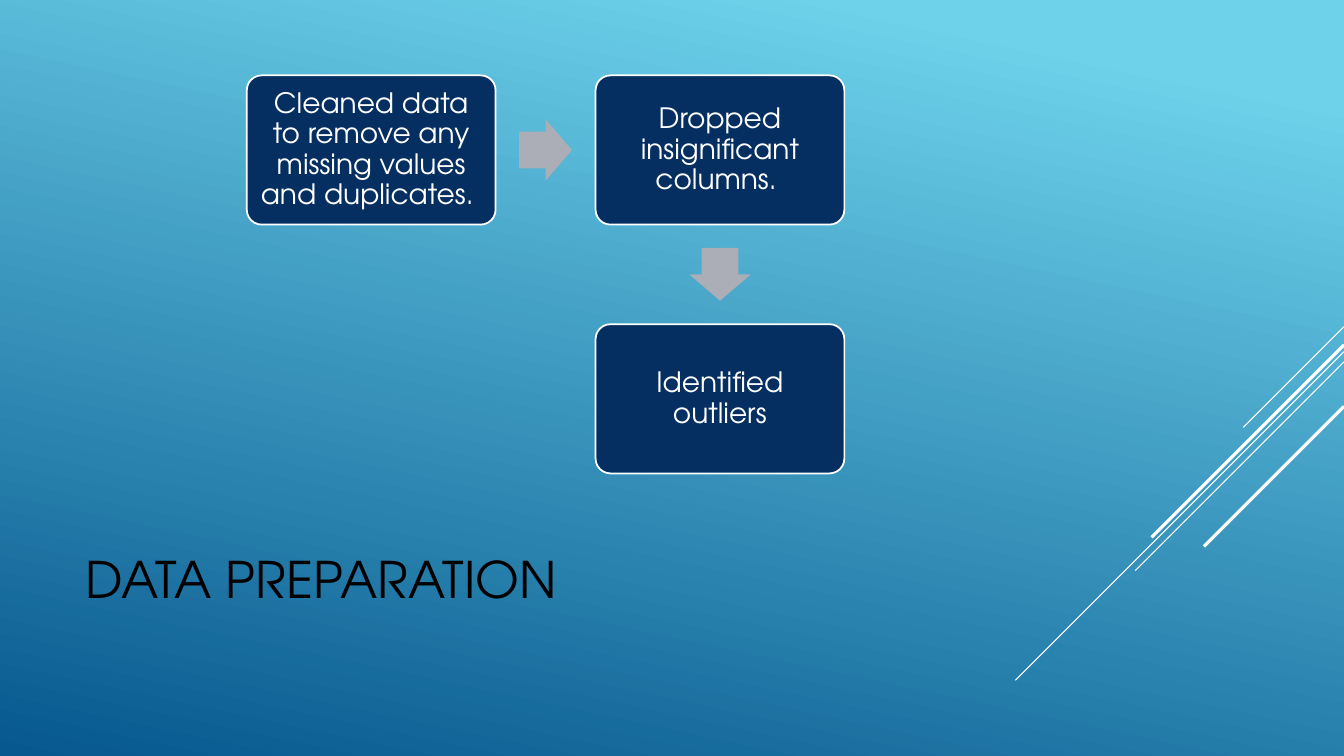
from lxml import etree
from pptx import Presentation
from pptx.dml import color
from pptx.enum import shapes, text
from pptx.oxml import ns
from pptx.util import Cm, Pt

FONT = "TeX Gyre Adventor"
SLIDE_W, SLIDE_H = 33.87, 19.05
BOX_W, BOX_H = 6.27, 3.76
BOX_LEFT, BOX_TOP = 6.22, 1.9
STEP_X, STEP_Y = 8.79, 6.27
ARROW_W, ARROW_H = 1.33, 1.55

STEPS = [
    (0, 0, "Cleaned data to remove any missing values and duplicates. "),
    (1, 0, "Dropped insignificant columns. "),
    (1, 1, "Identified outliers"),
]
RAYS = [
    (8.23, 2.54, 0.75),
    (8.86, 8.28, 0.75),
    (9.12, 5.26, 0.75),
    (8.69, 4.85, 2.25),
    (10.24, 3.53, 2.25),
]


def rgb(value):
    return color.RGBColor.from_string(value)


def set_background(s, stops, angle):
    fill = s.background.fill
    fill.gradient()
    fill.gradient_angle = 360 - angle
    for stop, (position, value) in zip(fill.gradient_stops, stops):
        stop.position = position
        stop.color.rgb = rgb(value)


def write(tf, content, size=20, ink="FFFFFF", align=text.PP_ALIGN.CENTER,
          spacing=0.9, inset=0.2):
    tf.word_wrap = True
    tf.vertical_anchor = text.MSO_ANCHOR.MIDDLE
    tf.margin_left = tf.margin_right = Cm(inset)
    tf.margin_top = tf.margin_bottom = Cm(0.2)
    p = tf.paragraphs[0]
    p.alignment = align
    p.line_spacing = spacing
    r = p.add_run()
    r.text = content
    r.font.name = FONT
    r.font.size = Pt(size)
    r.font.color.rgb = rgb(ink)


def add_ray(s, top, reach, width):
    line = s.shapes.add_connector(
        shapes.MSO_CONNECTOR.STRAIGHT, Cm(SLIDE_W), Cm(top),
        Cm(SLIDE_W - reach), Cm(top + reach))
    line.line.color.rgb = rgb("FFFFFF")
    line.line.width = Pt(width)
    etree.SubElement(line._element.spPr, ns.qn("a:effectLst"))


def add_filled(s, kind, left, top, width, height, fill, adjustments):
    sp = s.shapes.add_shape(kind, Cm(left), Cm(top), Cm(width), Cm(height))
    sp.shadow.inherit = False
    sp.fill.solid()
    sp.fill.fore_color.rgb = rgb(fill)
    sp.line.fill.background()
    for i, value in enumerate(adjustments):
        sp.adjustments[i] = value
    return sp


def box_center(col, row):
    return (BOX_LEFT + col * STEP_X + BOX_W / 2,
            BOX_TOP + row * STEP_Y + BOX_H / 2)


def add_step(s, col, row, content):
    x, y = box_center(col, row)
    sp = add_filled(s, shapes.MSO_SHAPE.ROUNDED_RECTANGLE, x - BOX_W / 2,
                    y - BOX_H / 2, BOX_W, BOX_H, "052F61", [0.1])
    sp.line.color.rgb = rgb("FFFFFF")
    sp.line.width = Pt(1.25)
    write(sp.text_frame, content)


def add_arrow(s, start, end):
    (x1, y1), (x2, y2) = box_center(*start), box_center(*end)
    sp = add_filled(s, shapes.MSO_SHAPE.RIGHT_ARROW,
                    (x1 + x2 - ARROW_W) / 2, (y1 + y2 - ARROW_H) / 2,
                    ARROW_W, ARROW_H, "ABADB7", [0.6, 0.5])
    sp.rotation = 90 if x1 == x2 else 0


def add_title(s, content):
    box = s.shapes.add_textbox(Cm(1.9), Cm(12.47), Cm(23.7), Cm(4.19))
    write(box.text_frame, content, size=36, ink="000000",
          align=text.PP_ALIGN.LEFT, spacing=1.0, inset=0.25)


def main():
    prs = Presentation()
    prs.slide_width, prs.slide_height = Cm(SLIDE_W), Cm(SLIDE_H)
    s = prs.slides.add_slide(prs.slide_layouts[6])
    set_background(s, [(0.1, "6ED2EB"), (1.0, "06588E")], 102)
    for ray in RAYS:
        add_ray(s, *ray)
    add_title(s, "DATA PREPARATION")
    for step in STEPS:
        add_step(s, *step)
    for start, end in zip(STEPS, STEPS[1:]):
        add_arrow(s, start[:2], end[:2])
    prs.save("out.pptx")


if __name__ == "__main__":
    main()
